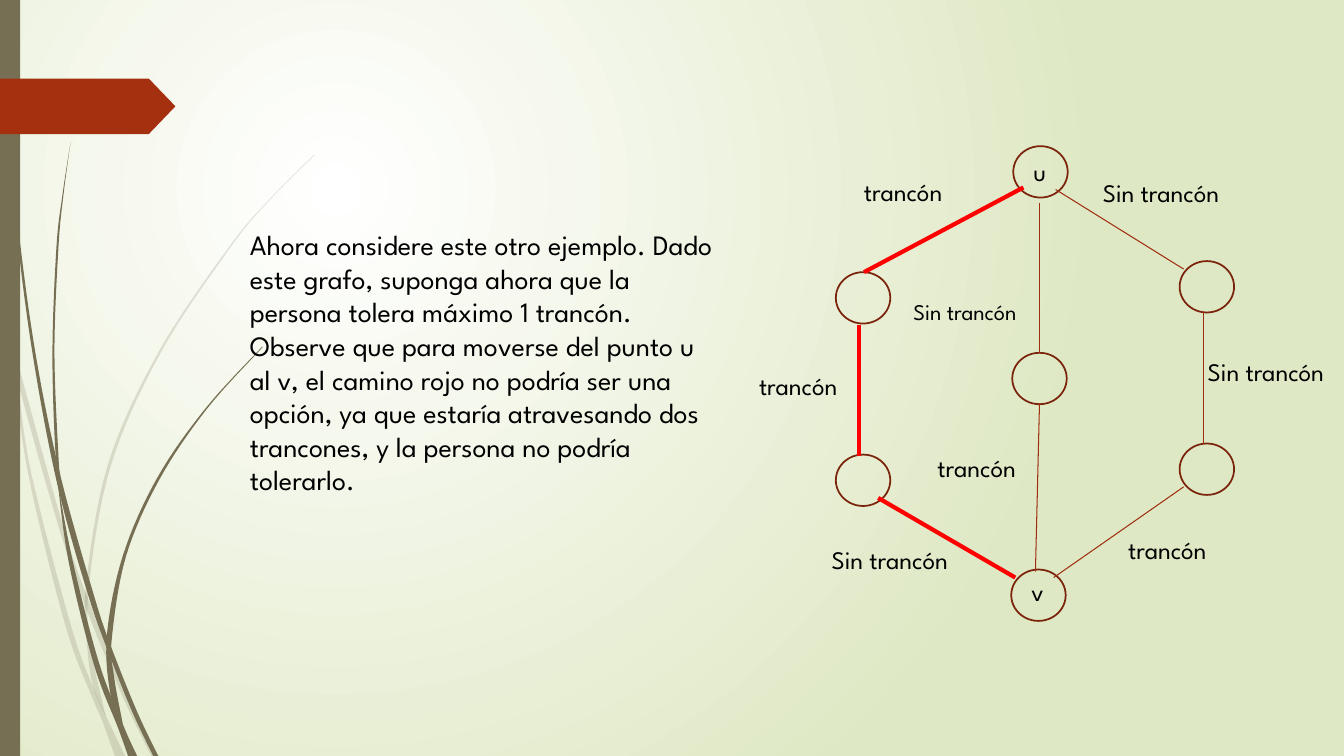
from dataclasses import dataclass

from lxml import etree
from pptx import Presentation
from pptx.dml.color import RGBColor
from pptx.enum import shapes, text
from pptx.oxml import ns
from pptx.util import Inches, Pt


@dataclass(frozen=True)
class Theme:
    font: str = "League Spartan"
    ink: str = "000000"
    glow: str = "FFFFFF"
    base: str = "DFE8C4"
    olive: str = "766F54"
    rust: str = "A53010"
    ring: str = "7A240C"
    edge: str = "9E2E0F"
    red: str = "FF0000"
    body: int = 20
    label: int = 18
    small: int = 16
    thin: float = 0.75
    rim: float = 1.25
    bold: float = 3


THEME = Theme()

PALE = [
    ([(0, 2.82), (0.14, 3.45), (0.62, 5.2), (0.88, 5.96), (1.27, 6.92), (1.55, 7.5)],
     [(0, 2.99), (0.17, 3.76), (0.58, 5.22), (0.88, 6.1), (1.23, 6.94), (1.5, 7.5)]),
    ([(0.11, 3.5), (0.17, 3.76), (0.31, 4.69), (0.7, 6.19), (0.93, 6.83), (1.24, 7.5)],
     [(0.11, 3.5), (0.28, 4.7), (0.65, 6.21), (0.92, 6.93), (1.01, 7.14), (1.14, 7.5)]),
    ([(3.12, 1.53), (2.68, 1.97), (2.28, 2.44), (1.58, 3.48), (1.07, 4.61),
      (0.85, 5.84), (0.87, 6.46), (0.93, 6.83), (1.05, 7.11)],
     [(3.12, 1.54), (2.68, 1.98), (2.29, 2.45), (1.6, 3.49), (1.1, 4.62),
      (0.88, 5.84), (0.91, 6.46), (1.05, 7.11)]),
]
DARK = [
    ([(0.04, 0), (0.08, 1.09), (0.19, 2.32), (0.36, 3.55), (0.6, 4.72),
      (0.93, 5.9), (1.1, 6.41), (1.36, 7.06), (1.57, 7.5)],
     [(0.03, 0), (0.07, 1.1), (0.17, 2.33), (0.33, 3.55), (0.57, 4.81),
      (0.88, 5.92), (1.11, 6.56), (1.32, 7.08), (1.52, 7.5)]),
    ([(0.57, 4.77), (0.72, 5.56), (0.98, 6.57), (1.22, 7.19), (1.36, 7.5)],
     [(0.57, 4.77), (0.68, 5.57), (0.93, 6.59), (1.17, 7.22), (1.27, 7.5)]),
    ([(0.7, 1.41), (0.62, 1.93), (0.56, 2.45), (0.52, 3.49), (0.55, 4.49), (0.6, 4.72)],
     [(0.7, 1.41), (0.63, 1.93), (0.58, 2.45), (0.54, 3.49), (0.58, 4.53), (0.6, 4.72)]),
    ([(2.6, 3.44), (2.04, 4.05), (1.56, 4.74), (1.22, 5.51), (1.06, 6.31),
      (1.1, 6.91), (1.22, 7.19)],
     [(2.61, 3.44), (2.05, 4.06), (1.58, 4.76), (1.25, 5.52), (1.11, 6.33),
      (1.13, 6.7), (1.22, 7.19)]),
]

RINGS = [(2.62, 0), (0.86, 1.25), (4.27, 1.14), (2.6, 4.2), (4.27, 2.95), (0.86, 3.06)]
HUB = (2.61, 2.05)
THIN = [
    ((3.04, 0.43), (4.31, 1.22)),
    ((4.51, 1.65), (4.51, 2.95)),
    ((3.02, 4.28), (4.31, 3.38)),
    ((2.88, 0.56), (2.88, 2.05)),
    ((2.88, 2.55), (2.84, 4.22)),
]
BOLD = [
    ((2.72, 0.41), (1.14, 1.25)),
    ((1.09, 1.77), (1.09, 3.07)),
    ((1.28, 3.49), (2.64, 4.28)),
]
LABELS = [
    ("u", 2.72, 0.05, 0.28, THEME.label),
    ("v", 2.7, 4.22, 0.28, THEME.label),
    ("trancón", 1.04, 0.25, 1.24, THEME.label),
    ("Sin trancón", 0.72, 3.9, 1.63, THEME.label),
    ("trancón", 3.66, 3.8, 1.24, THEME.label),
    ("trancón", 0, 2.17, 1.24, THEME.label),
    ("Sin trancón", 3.41, 0.26, 1.63, THEME.label),
    ("Sin trancón", 4.45, 2.04, 1.45, THEME.label),
    ("Sin trancón", 1.53, 1.46, 1.58, THEME.small),
    ("trancón", 1.77, 2.99, 1.24, THEME.label),
]
STORY = (
    "Ahora considere este otro ejemplo. Dado este grafo, suponga ahora que la "
    "persona tolera máximo 1 trancón. Observe que para moverse del punto u al v, "
    "el camino rojo no podría ser una opción, ya que estaría atravesando dos "
    "trancones, y la persona no podría tolerarlo."
)


def write(slide, words, box, size=THEME.label, color=THEME.ink):
    area = slide.shapes.add_textbox(*map(Inches, box))
    frame = area.text_frame
    frame.word_wrap = True
    frame.auto_size = text.MSO_AUTO_SIZE.SHAPE_TO_FIT_TEXT
    run = frame.paragraphs[0].add_run()
    run.text = words
    run.font.name = THEME.font
    run.font.size = Pt(size)
    run.font.color.rgb = RGBColor.from_string(color)


def style(shape, fill=None, line=None, alpha=None):
    shape.shadow.inherit = False
    if fill:
        shape.fill.solid()
        shape.fill.fore_color.rgb = RGBColor.from_string(fill)
    else:
        shape.fill.background()
    if line:
        shape.line.color.rgb = RGBColor.from_string(line)
        shape.line.width = Pt(THEME.rim)
    else:
        shape.line.fill.background()
    if alpha:
        color = shape._element.spPr.find(ns.qn("a:solidFill"))[0]
        etree.SubElement(color, ns.qn("a:alpha")).set("val", str(alpha * 1000))


def draw(slide, kind, box, **look):
    shape = slide.shapes.add_shape(kind, *map(Inches, box))
    style(shape, **look)
    return shape


def link(slide, left, top, ends, color, width):
    (ax, ay), (bx, by) = ends
    spots = map(Inches, (left + ax, top + ay, left + bx, top + by))
    line = slide.shapes.add_connector(shapes.MSO_CONNECTOR.STRAIGHT, *spots)
    line.line.color.rgb = RGBColor.from_string(color)
    line.line.width = Pt(width)
    etree.SubElement(line._element.spPr, ns.qn("a:effectLst"))


def smooth(points, steps=8):
    ends = [points[0], *points, points[-1]]
    curve = []
    for a, b, c, d in zip(ends, ends[1:], ends[2:], ends[3:]):
        for step in range(steps):
            t = step / steps
            curve.append(tuple(
                q + t / 2 * (r - p + t * (2 * p - 5 * q + 4 * r - s + t * (3 * (q - r) + s - p)))
                for p, q, r, s in zip(a, b, c, d)))
    return curve + [points[-1]]


def blade(slide, left, top, sides, alpha):
    near, far = map(smooth, sides)
    spots = [(Inches(left + x), Inches(top + y)) for x, y in near + far[::-1]]
    path = slide.shapes.build_freeform(*spots[0])
    path.add_line_segments(spots[1:], close=True)
    style(path.convert_to_shape(), fill=THEME.olive, alpha=alpha)


def backdrop(slide):
    fill = slide.background.fill
    fill.gradient()
    for stop, color in zip(fill.gradient_stops, (THEME.glow, THEME.base)):
        stop.color.rgb = RGBColor.from_string(color)
    grad = next(slide._element.iter(ns.qn("a:gradFill")))
    grad.remove(grad.find(ns.qn("a:lin")))
    path = etree.SubElement(grad, ns.qn("a:path"), path="circle")
    etree.SubElement(path, ns.qn("a:fillToRect"), l="50000", t="50000", r="100000", b="100000")


def margin(slide, left, top, height):
    for group, alpha in ((PALE, 20), (DARK, None)):
        for sides in group:
            blade(slide, left, top, sides, alpha)
    kinds = shapes.MSO_SHAPE
    draw(slide, kinds.RECTANGLE, (left, top, 0.2, height), fill=THEME.olive)
    flag = draw(slide, kinds.PENTAGON, (left, top + 0.78, 1.74, 0.55), fill=THEME.rust)
    flag.adjustments[0] = 0.48


def graph(slide, left, top):
    kinds = shapes.MSO_SHAPE
    nodes = [(kinds.OVAL, spot) for spot in RINGS] + [(kinds.FLOWCHART_CONNECTOR, HUB)]
    for kind, (x, y) in nodes:
        draw(slide, kind, (left + x, top + y, 0.54, 0.51), line=THEME.ring)
    for group, color, width in ((THIN, THEME.edge, THEME.thin), (BOLD, THEME.red, THEME.bold)):
        for ends in group:
            link(slide, left, top, ends, color, width)
    for words, x, y, width, size in LABELS:
        write(slide, words, (left + x, top + y, width, 0.4), size=size)


def main():
    deck = Presentation()
    deck.slide_width, deck.slide_height = Inches(13.33), Inches(7.5)
    slide = deck.slides.add_slide(deck.slide_layouts[6])
    backdrop(slide)
    margin(slide, 0, 0, 7.5)
    write(slide, STORY, (2.38, 2.21, 4.81, 3.13), size=THEME.body)
    graph(slide, 7.43, 1.45)
    deck.save("out.pptx")


if __name__ == "__main__":
    main()
